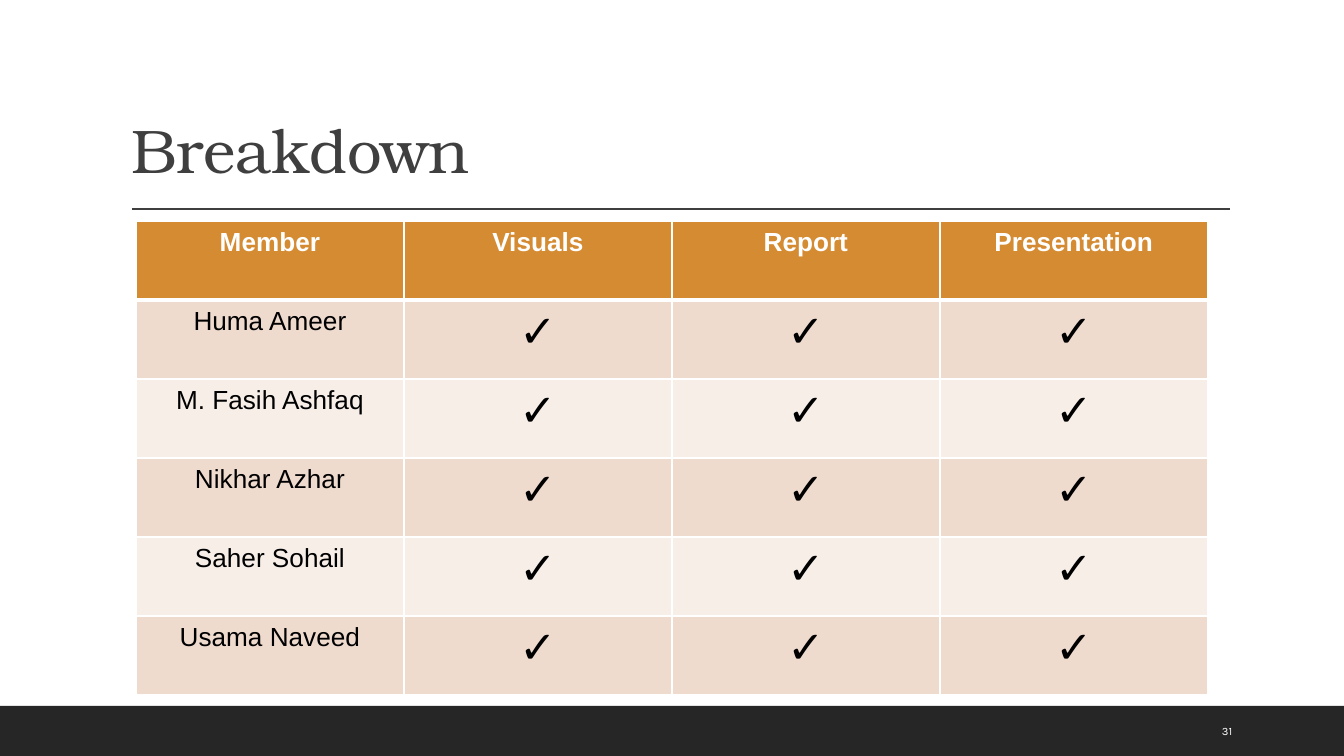
from lxml.etree import SubElement
from pptx import Presentation
from pptx.dml.color import RGBColor
from pptx.enum.shapes import MSO_CONNECTOR, MSO_SHAPE
from pptx.enum.text import MSO_ANCHOR, PP_ALIGN
from pptx.oxml.ns import qn
from pptx.util import Emu, Pt

SCALE = 914400 / 134.4  # EMU in one px

COLORS = {
    "white": "FFFFFF",
    "black": "000000",
    "footer": "262626",
    "title": "3F3F3F",
    "head": "D48B32",
    "odd": "EFDACE",
    "even": "F7EEE8",
}

HEADS = ["Member", "Visuals", "Report", "Presentation"]
MEMBERS = ["Huma Ameer", "M. Fasih Ashfaq", "Nikhar Azhar", "Saher Sohail", "Usama Naveed"]
COL, ROW = 268, 79


def px(count):
    return Emu(round(count * SCALE))


def color(name):
    return RGBColor.from_string(COLORS[name])


def write(frame, text, font, size, tint, align=PP_ALIGN.LEFT, bold=False):
    para = frame.paragraphs[0]
    para.alignment = align
    run = para.add_run()
    run.text = text
    run.font.name = font
    run.font.size = Pt(size)
    run.font.bold = bold
    run.font.color.rgb = color(tint)
    return para


def set_frame(frame, anchor):
    frame.word_wrap = True
    frame.vertical_anchor = anchor
    frame.margin_left = frame.margin_right = px(10)
    frame.margin_top = frame.margin_bottom = px(5)


def add_footer(slide):
    bar = slide.shapes.add_shape(MSO_SHAPE.RECTANGLE, 0, px(706), px(1344), px(50))
    bar.shadow.inherit = False
    bar.fill.solid()
    bar.fill.fore_color.rgb = color("footer")
    bar.line.fill.background()


def add_rule(slide):
    rule = slide.shapes.add_connector(
        MSO_CONNECTOR.STRAIGHT, px(132), px(209), px(1230), px(209))
    rule.line.color.rgb = color("title")
    rule.line.width = Pt(1)
    SubElement(rule._element.spPr, qn("a:effectLst"))


def add_title(slide, text):
    title = slide.shapes.title
    title.left, title.top, title.width, title.height = px(121), px(32), px(1109), px(160)
    set_frame(title.text_frame, MSO_ANCHOR.BOTTOM)
    para = write(title.text_frame, text, "TeX Gyre Bonum", 33, "title")
    para.line_spacing = 0.9


def add_number(slide, text):
    box = slide.shapes.add_textbox(px(1212), px(711), px(86), px(40))
    set_frame(box.text_frame, MSO_ANCHOR.MIDDLE)
    write(box.text_frame, text, "Karla", 6, "white")


def set_borders(cell, top, bottom):
    props = cell._tc.get_or_add_tcPr()
    for side, width in (("L", 1), ("R", 1), ("T", top), ("B", bottom)):
        line = SubElement(props, qn(f"a:ln{side}"), w=str(Pt(width)))
        fill = SubElement(line, qn("a:solidFill"))
        SubElement(fill, qn("a:srgbClr"), val=COLORS["white"])


def add_grid(slide):
    rows = [HEADS] + [[name] + ["✓"] * 3 for name in MEMBERS]
    table = slide.shapes.add_table(
        len(rows), len(HEADS), px(136), px(221),
        px(COL * len(HEADS)), px(ROW * len(rows))).table
    for col in table.columns:
        col.width = px(COL)
    for i, texts in enumerate(rows):
        table.rows[i].height = px(ROW)
        head = i == 0
        band = "head" if head else ("odd" if i % 2 else "even")
        for j, text in enumerate(texts):
            cell = table.cell(i, j)
            # A thick line parts the header from the members
            set_borders(cell, 3 if i == 1 else 1, 3 if head else 1)
            cell.fill.solid()
            cell.fill.fore_color.rgb = color(band)
            write(cell.text_frame, text, "Arial", 24 if text == "✓" else 14,
                  "white" if head else "black", PP_ALIGN.CENTER, head)


def main():
    deck = Presentation()
    deck.slide_width, deck.slide_height = px(1344), px(756)
    slide = deck.slides.add_slide(deck.slide_layouts[5])

    # Frame of the slide
    add_footer(slide)
    add_rule(slide)

    # Content
    add_title(slide, "Breakdown")
    add_number(slide, "31")
    add_grid(slide)

    deck.save("out.pptx")


if __name__ == "__main__":
    main()
